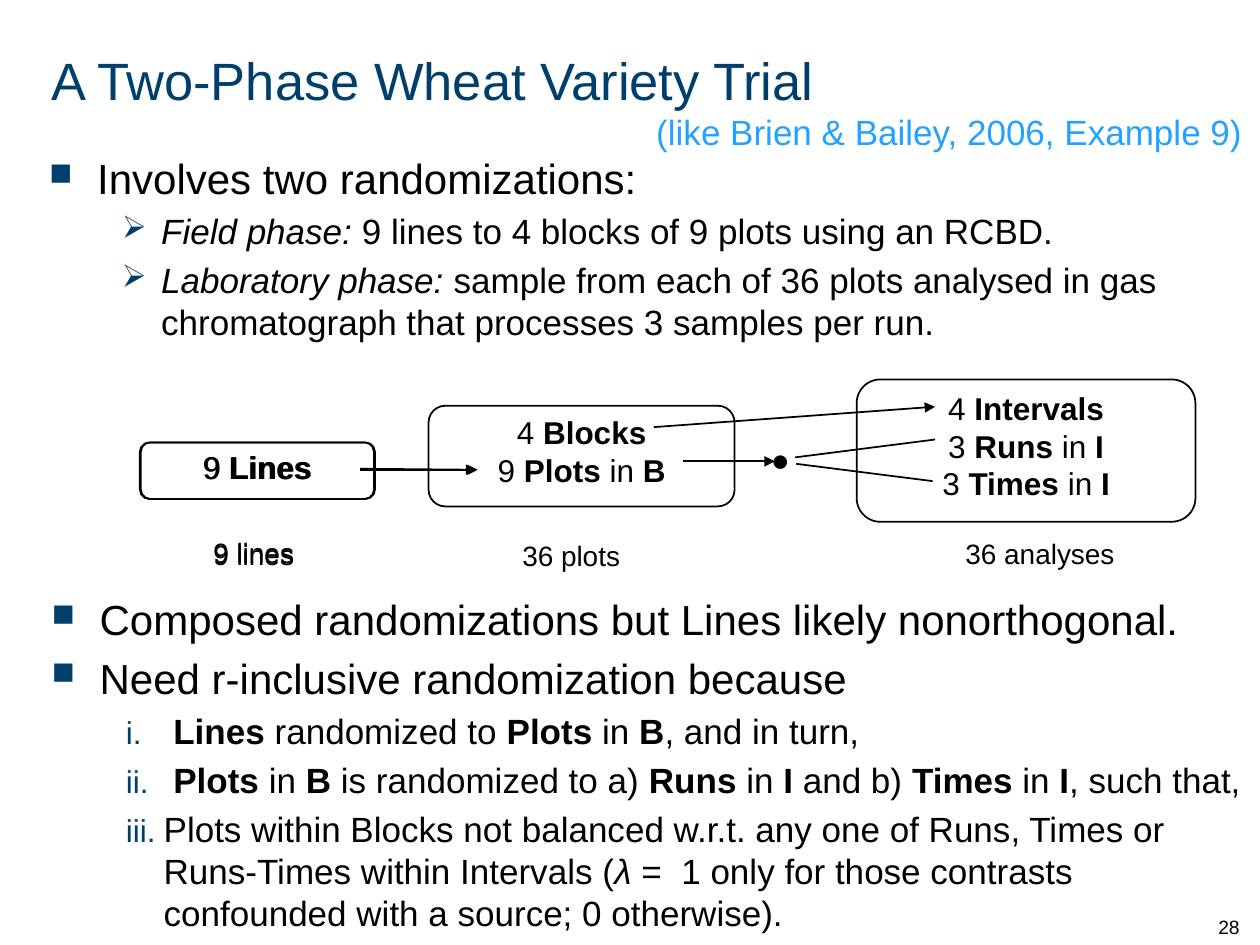
from dataclasses import dataclass
from typing import Optional

from lxml import etree
from pptx import Presentation
from pptx.dml.color import RGBColor
from pptx.enum.shapes import MSO_CONNECTOR, MSO_SHAPE
from pptx.enum.text import MSO_ANCHOR, PP_ALIGN
from pptx.oxml.ns import qn
from pptx.util import Cm, Pt

STRAIGHT = MSO_CONNECTOR.STRAIGHT
ROUNDED = MSO_SHAPE.ROUNDED_RECTANGLE
TOP, MIDDLE, BOTTOM = MSO_ANCHOR.TOP, MSO_ANCHOR.MIDDLE, MSO_ANCHOR.BOTTOM
LEFT, CENTER = PP_ALIGN.LEFT, PP_ALIGN.CENTER
FONT, BLACK, NAVY, SKY = "Arial", "000000", "003E6C", "23A2FF"


@dataclass(frozen=True)
class Bullet:
    """A list level: its mark, text size, indents in cm and mark size."""
    tag: str
    mark: dict
    size: int
    margin: float
    hanging: float
    percent: int


@dataclass(frozen=True)
class Line:
    """One paragraph, where every second part between bars is emphasised."""
    text: str
    bullet: Optional[Bullet] = None
    italic: bool = False


@dataclass(frozen=True)
class Panel:
    """A rounded panel of factors with a caption below it, in cm."""
    area: tuple
    factors: tuple
    caption: str
    caption_left: float
    caption_top: float


@dataclass(frozen=True)
class Arrow:
    """A straight line between two points in cm."""
    start: tuple
    end: tuple
    head: bool = True


SQUARE = Bullet("a:buChar", {"char": "■"}, 24, 0.97, 0.97, 75)
POINTER = Bullet("a:buChar", {"char": "➢"}, 20, 2.26, 0.79, 90)
ROMAN = Bullet("a:buAutoNum", {"type": "romanLcPeriod"}, 20, 2.26, 0.76, 90)

PHASES = (
    Line("Involves two randomizations:", SQUARE),
    Line("|Field phase:| 9 lines to 4 blocks of 9 plots using an RCBD.", POINTER, True),
    Line("|Laboratory phase:| sample from each of 36 plots analysed in gas "
         "chromatograph that processes 3 samples per run.", POINTER, True),
)
REASONS = (
    Line("Composed randomizations but Lines likely nonorthogonal.", SQUARE),
    Line("Need r-inclusive randomization because", SQUARE),
    Line(" |Lines| randomized to |Plots| in |B|, and in turn,", ROMAN),
    Line(" |Plots| in |B| is randomized to a) |Runs| in |I| and b) |Times| in |I|, "
         "such that,", ROMAN),
    Line("Plots within Blocks not balanced w.r.t. any one of Runs, Times or Runs-Times "
         "within Intervals (|λ| =  1 only for those contrasts confounded with a source; "
         "0 otherwise).", ROMAN, True),
)
PANELS = (
    Panel((17.27, 7.65, 6.83, 2.87), ("4 |Intervals", "3 |Runs| in |I", "3 |Times| in |I"),
          "36 analyses", 18.87, 10.69),
    Panel((8.64, 8.18, 6.17, 2.03), ("4 |Blocks", "9 |Plots| in |B"),
          "36 plots", 9.42, 10.74),
    Panel((2.84, 8.92, 4.72, 1.14), ("9 |Lines",), "9 lines", 3.02, 10.72),
    Panel((2.82, 8.92, 4.72, 1.14), ("9 |Lines",), "9 lines", 3.02, 10.67),
)
ARROWS = (
    Arrow((13.18, 8.61), (18.85, 8.2)),
    Arrow((13.77, 9.3), (15.62, 9.3)),
    Arrow((16.03, 9.22), (18.85, 8.86), False),
    Arrow((16.05, 9.35), (18.8, 9.7), False),
    Arrow((7.26, 9.47), (9.63, 9.47)),
    Arrow((7.26, 9.45), (9.6, 9.47)),
)


def color(value: str) -> RGBColor:
    """Turn a hex string into a colour."""
    return RGBColor.from_string(value)


def set_font(font, size: int, value: str = BLACK) -> None:
    """Set typeface, size and colour."""
    font.name, font.size = FONT, Pt(size)
    font.color.rgb = color(value)


def add_bullet(para, bullet: Bullet) -> None:
    """Give a paragraph its indents and list mark."""
    props = para._p.get_or_add_pPr()
    props.set("marL", str(Cm(bullet.margin)))
    props.set("indent", str(-Cm(bullet.hanging)))
    tint = etree.SubElement(props, qn("a:buClr"))
    etree.SubElement(tint, qn("a:srgbClr"), val=NAVY)
    etree.SubElement(props, qn("a:buSzPct"), val=str(bullet.percent * 1000))
    etree.SubElement(props, qn(bullet.tag), **bullet.mark)


def write(frame, lines: tuple, size: int = 18, align=LEFT) -> None:
    """Fill a text frame with lines."""
    for index, line in enumerate(lines):
        para = frame.add_paragraph() if index else frame.paragraphs[0]
        para.alignment = align
        if line.bullet:
            add_bullet(para, line.bullet)
            size = line.bullet.size
            if index:
                para.space_before = Pt(size * 0.2)
        set_font(para.font, size)
        for place, text in enumerate(line.text.split("|")):
            if text:
                span = para.add_run()
                span.text = text
                if place % 2:
                    span.font.italic = line.italic
                    span.font.bold = not line.italic


def add_text(page, area: tuple, lines: tuple = (), size: int = 18, align=LEFT,
             anchor=TOP, wrap: bool = True):
    """Add a text box and return its frame."""
    frame = page.shapes.add_textbox(*map(Cm, area)).text_frame
    frame.word_wrap, frame.vertical_anchor = wrap, anchor
    write(frame, lines, size, align)
    return frame


def add_title(page) -> None:
    """Add the heading with its citation on an indented second line."""
    para = add_text(page, (0.79, 0.89, 24.64, 2.26), anchor=MIDDLE).paragraphs[0]
    props = para._p.get_or_add_pPr()
    props.set("marL", str(Cm(12.19)))
    props.set("indent", str(-Cm(12.19)))
    heading = para.add_run()
    heading.text = "A Two-Phase Wheat Variety Trial"
    set_font(heading.font, 30, NAVY)
    para.add_line_break()
    citation = para.add_run()
    citation.text = "(like Brien & Bailey, 2006, Example 9)"
    set_font(citation.font, 20, SKY)


def add_panel(page, panel: Panel) -> None:
    """Draw a factor panel and its caption."""
    box = page.shapes.add_shape(ROUNDED, *map(Cm, panel.area))
    box.shadow.inherit = False
    box.fill.background()
    box.line.color.rgb, box.line.width = color(BLACK), Pt(1)
    frame = box.text_frame
    frame.vertical_anchor = TOP
    frame.margin_left = frame.margin_right = Cm(0.03)
    frame.margin_top = frame.margin_bottom = Cm(0.05)
    write(frame, tuple(Line(text) for text in panel.factors), align=CENTER)
    add_text(page, (panel.caption_left, panel.caption_top, 4.19, 0.94),
             (Line(panel.caption),), 16, CENTER)


def add_arrow(page, arrow: Arrow) -> None:
    """Draw a line, with a head at its end if wanted."""
    link = page.shapes.add_connector(STRAIGHT, *map(Cm, arrow.start + arrow.end))
    link.line.color.rgb, link.line.width = color(BLACK), Pt(1)
    if arrow.head:
        etree.SubElement(link.line._get_or_add_ln(), qn("a:tailEnd"), type="triangle")
    etree.SubElement(link._element.spPr, qn("a:effectLst"))


def main() -> None:
    """Build the slide and save it."""
    deck = Presentation()
    deck.slide_width, deck.slide_height = Cm(25.4), Cm(19.05)
    page = deck.slides.add_slide(deck.slide_layouts[6])
    add_title(page)
    add_text(page, (0.74, 2.95, 24.61, 4.83), PHASES)
    add_text(page, (24.31, 17.78, 1.07, 1.27), (Line("28"),), 11, anchor=BOTTOM)
    add_text(page, (0.79, 11.84, 24.61, 7.21), REASONS)
    for arrow in ARROWS:
        add_arrow(page, arrow)
    add_text(page, (15.29, 8.74, 1.07, 1.02), (Line("●"),), wrap=False)
    for panel in PANELS:
        add_panel(page, panel)
    deck.save("out.pptx")


if __name__ == "__main__":
    main()
